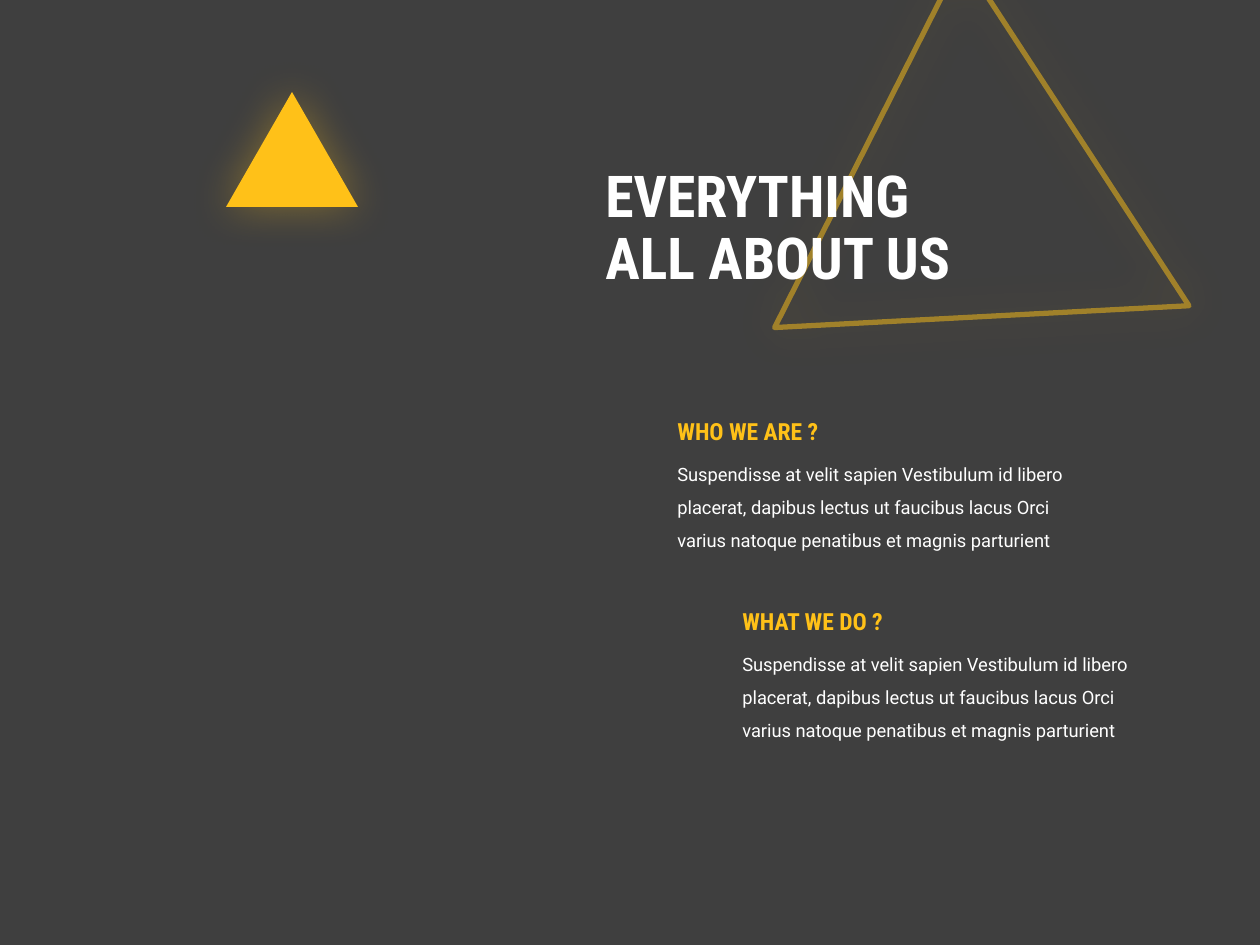
from dataclasses import dataclass

from lxml.etree import SubElement
from pptx import Presentation
from pptx.dml.color import RGBColor
from pptx.enum.shapes import MSO_SHAPE as Preset
from pptx.enum.text import MSO_ANCHOR as Anchor, MSO_AUTO_SIZE as AutoSize
from pptx.oxml.ns import qn
from pptx.shapes.autoshape import Shape
from pptx.slide import Slide
from pptx.util import Emu, Pt

EMU_PER_PX = 914400 / 126
YELLOW, WHITE, CHARCOAL = "FFC118", "FFFFFF", "3F3F3F"
BODY = (
    "Suspendisse at velit sapien Vestibulum id libero placerat, dapibus lectus "
    "ut faucibus lacus Orci varius natoque penatibus et magnis parturient"
)


@dataclass(frozen=True)
class Box:
    left: int
    top: int
    width: int
    height: int

    def emu(self) -> tuple[Emu, ...]:
        """Return left, top, width and height in EMU."""
        return tuple(px(n) for n in (self.left, self.top, self.width, self.height))


@dataclass(frozen=True)
class TextStyle:
    font: str
    size: float
    color: str
    bold: bool = False
    line_spacing: float = 1.0


@dataclass(frozen=True)
class Section:
    left: int
    top: int
    heading: str


TITLE_STYLE = TextStyle("Roboto Condensed", 33, WHITE, True, 0.9)
HEADING_STYLE = TextStyle("Roboto Condensed", 13.5, YELLOW, True)
BODY_STYLE = TextStyle("Roboto", 10.5, WHITE, line_spacing=1.5)
SECTIONS = (
    Section(665, 411, "WHO WE ARE ?"),
    Section(730, 601, "WHAT WE DO ?"),
)


def px(length: int) -> Emu:
    """Convert pixels to EMU."""
    return Emu(round(length * EMU_PER_PX))


def rgb(color: str) -> RGBColor:
    """Convert a hex string to a colour."""
    return RGBColor.from_string(color)


def add_glow(shape: Shape, color: str, blur: int = 25, opacity: int = 35) -> None:
    """Put a soft centred shadow around a shape."""
    shape.shadow.inherit = False
    effects = shape._element.spPr.find(qn("a:effectLst"))
    shadow = SubElement(
        effects, qn("a:outerShdw"), blurRad=str(Pt(blur)), dist="0", dir="0",
        algn="ctr", rotWithShape="0",
    )
    shade = SubElement(shadow, qn("a:srgbClr"), val=color)
    SubElement(shade, qn("a:alpha"), val=str(opacity * 1000))


def add_triangle(slide: Slide, box: Box, color: str) -> Shape:
    """Add a filled, glowing triangle without an outline."""
    triangle = slide.shapes.add_shape(Preset.ISOSCELES_TRIANGLE, *box.emu())
    triangle.fill.solid()
    triangle.fill.fore_color.rgb = rgb(color)
    triangle.line.fill.background()
    add_glow(triangle, color)
    return triangle


def outline_only(shape: Shape, color: str, width: float, opacity: int) -> None:
    """Replace the fill of a shape with a translucent outline."""
    shape.fill.background()
    shape.line.width = Pt(width)
    shape.line.color.rgb = rgb(color)
    shade = shape.line._ln.find(f"{qn('a:solidFill')}/{qn('a:srgbClr')}")
    SubElement(shade, qn("a:alpha"), val=str(opacity * 1000))


def add_text(slide: Slide, box: Box, text: str, style: TextStyle) -> Shape:
    """Add a wrapped one-paragraph text box."""
    shape = slide.shapes.add_textbox(*box.emu())
    frame = shape.text_frame
    frame.word_wrap = True
    frame.text = text
    paragraph = frame.paragraphs[0]
    paragraph.line_spacing = style.line_spacing
    for run in paragraph.runs:
        run.font.name = style.font
        run.font.size = Pt(style.size)
        run.font.bold = style.bold
        run.font.color.rgb = rgb(style.color)
    return shape


def add_section(slide: Slide, section: Section) -> None:
    """Add a heading with its body text below."""
    heading_box = Box(section.left, section.top, 232, 42)
    body_box = Box(section.left, section.top + 35, 426, 110)
    for shape in (
        add_text(slide, body_box, BODY, BODY_STYLE),
        add_text(slide, heading_box, section.heading, HEADING_STYLE),
    ):
        shape.text_frame.auto_size = AutoSize.SHAPE_TO_FIT_TEXT


def main() -> None:
    """Build and save the slide."""
    presentation = Presentation()
    presentation.slide_width, presentation.slide_height = px(1260), px(945)
    slide = presentation.slides.add_slide(presentation.slide_layouts[6])
    slide.background.fill.solid()
    slide.background.fill.fore_color.rgb = rgb(CHARCOAL)

    large_triangle = add_triangle(slide, Box(717, 50, 416, 359), YELLOW)
    large_triangle.rotation = 236.9
    outline_only(large_triangle, YELLOW, 3, 50)

    title = add_text(
        slide, Box(593, 130, 532, 199), "EVERYTHING\vALL ABOUT US", TITLE_STYLE
    )
    title.text_frame.vertical_anchor = Anchor.MIDDLE

    add_triangle(slide, Box(226, 92, 132, 115), YELLOW)
    for section in SECTIONS:
        add_section(slide, section)
    presentation.save("out.pptx")


if __name__ == "__main__":
    main()
